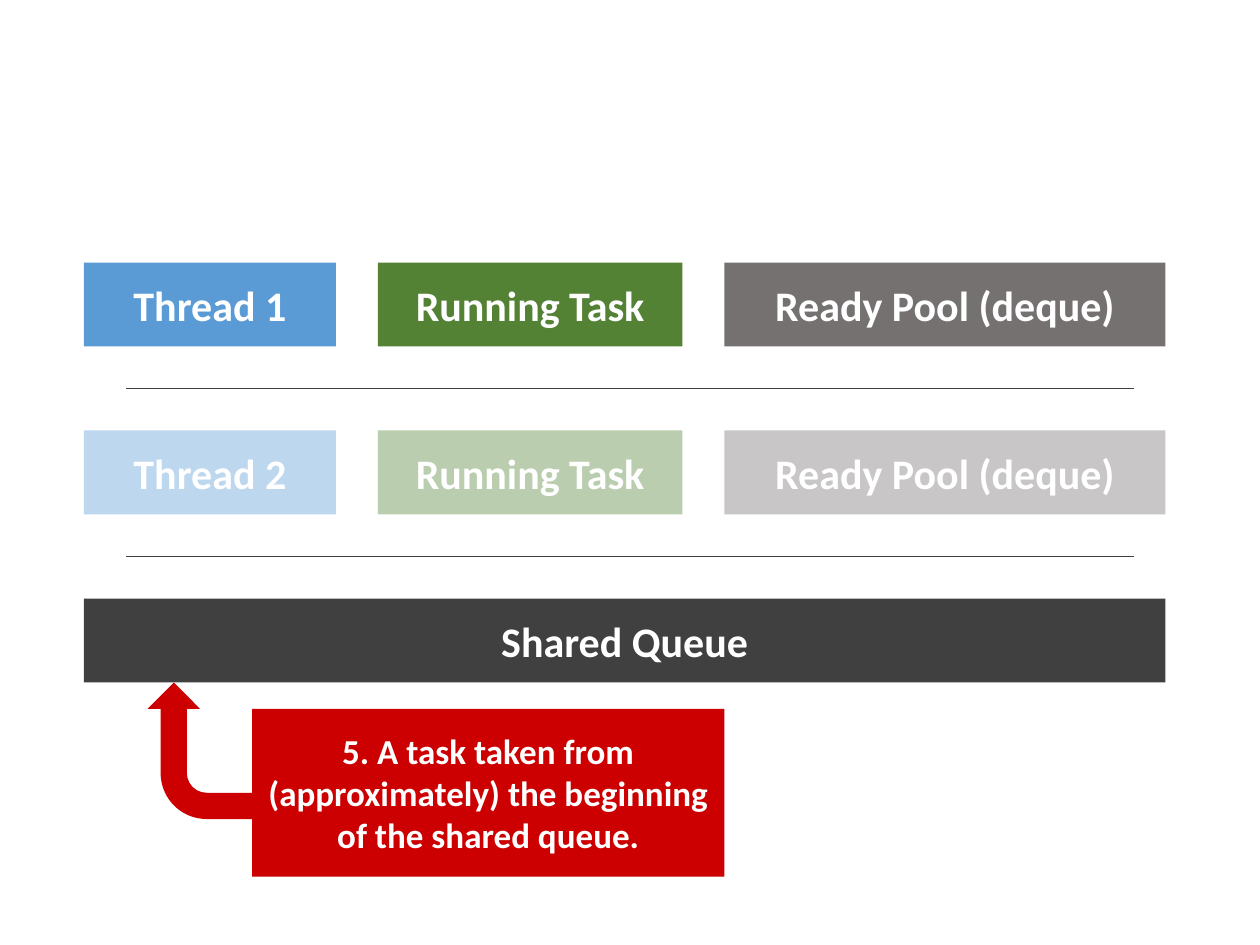
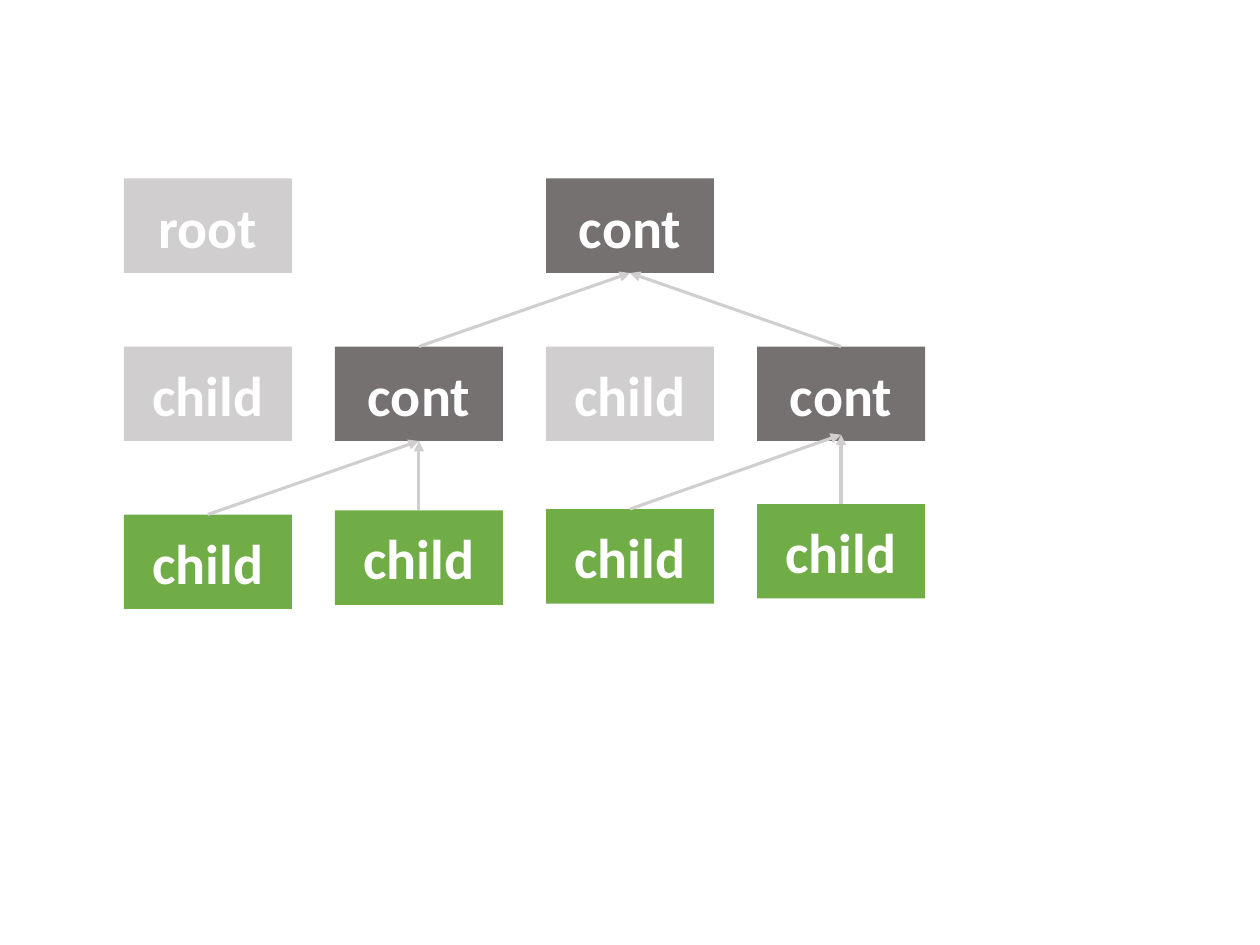
from pptx import Presentation
from pptx.dml.color import RGBColor
from pptx.enum.shapes import MSO_CONNECTOR, MSO_SHAPE
from pptx.enum.text import MSO_ANCHOR, PP_ALIGN
from pptx.oxml.ns import qn
from pptx.util import Pt
from lxml import etree

RECT = MSO_SHAPE.RECTANGLE
BENT_ARROW = MSO_SHAPE.BENT_ARROW
STRAIGHT = MSO_CONNECTOR.STRAIGHT
CENTER = PP_ALIGN.CENTER
MIDDLE = MSO_ANCHOR.MIDDLE
TOP, BOTTOM = 0, 2

FONT = "Calibri"
WHITE, DARK, GRAY, PALE = "FFFFFF", "404040", "767171", "D0CECE"
BLUE, FOREST, GREEN, RED = "5B9BD5", "548235", "70AD47", "CC0000"

THREADS = [("Thread 1", None), ("Thread 2", 40)]
STAGES = [("{thread}", 144, BLUE), ("Running Task", 174, FOREST),
          ("Ready Pool (deque)", 252, GRAY)]
SHARED_QUEUE = "Shared Queue"
STEP = "5. A task taken from (approximately) the beginning of the shared queue."
QUEUE_LEFT, QUEUE_TOP, ROW_HEIGHT, GAP = 48, 150, 48, 24
RULE_LEFT, RULE_RIGHT = 72, 648

TREE_LEFT, TREE_TOP, COLUMN_PITCH, ROW_PITCH = 70.8, 102, 120.6, 96
NODE_WIDTH, NODE_HEIGHT = 96, 54
NODES = {
    "root": ("root", 0, 0, PALE),
    "left child": ("child", 0, 1, PALE),
    "right child": ("child", 2, 1, PALE),
    "top cont": ("cont", 2, 0, GRAY),
    "left cont": ("cont", 1, 1, GRAY),
    "right cont": ("cont", 3, 1, GRAY),
}
LEAVES = [("leaf 1", 294), ("leaf 2", 291.6), ("leaf 3", 290.9), ("leaf 4", 288)]
NODES.update({leaf: ("child", column, (top - TREE_TOP) / ROW_PITCH, GREEN)
              for column, (leaf, top) in enumerate(LEAVES)})
LINKS = [("right cont", "top cont", 0), ("left cont", "top cont", 0),
         ("leaf 1", "left cont", 0), ("leaf 2", "left cont", 0),
         ("leaf 3", "right cont", 3.6), ("leaf 4", "right cont", 3.6)]


def color(value):
    return RGBColor.from_string(value)


def add_text(shape, text, size=24, ink=WHITE, bold=True):
    frame = shape.text_frame
    frame.word_wrap = True
    frame.vertical_anchor = MIDDLE
    paragraph = frame.paragraphs[0]
    paragraph.alignment = CENTER
    run = paragraph.add_run()
    run.text = text
    run.font.name = FONT
    run.font.size = Pt(size)
    run.font.bold = bold
    run.font.color.rgb = color(ink)


def add_block(slide, left, top, width, height, fill, kind=RECT, opacity=None):
    block = slide.shapes.add_shape(kind, Pt(left), Pt(top), Pt(width), Pt(height))
    block.shadow.inherit = False
    block.fill.solid()
    block.fill.fore_color.rgb = color(fill)
    block.line.fill.background()
    if opacity:
        tint = block.fill._xPr.find(".//" + qn("a:srgbClr"))
        etree.SubElement(tint, qn("a:alpha"), val=str(opacity * 1000))
    return block


def add_line(slide, start, end, ink, weight, arrow=False):
    line = slide.shapes.add_connector(STRAIGHT, *map(Pt, start + end))
    line.line.color.rgb = color(ink)
    line.line.width = Pt(weight)
    if arrow:
        etree.SubElement(line.line._get_or_add_ln(), qn("a:tailEnd"), type="triangle")
    etree.SubElement(line._element.spPr, qn("a:effectLst"))
    return line


def build_queues(slide):
    row_top = QUEUE_TOP
    for thread, opacity in THREADS:
        left = QUEUE_LEFT
        for label, width, fill in STAGES:
            stage = add_block(slide, left, row_top, width, ROW_HEIGHT, fill, opacity=opacity)
            add_text(stage, label.format(thread=thread))
            left += width + GAP
        rule_top = row_top + ROW_HEIGHT + GAP
        add_line(slide, (RULE_LEFT, rule_top), (RULE_RIGHT, rule_top), DARK, 0.5)
        row_top = rule_top + GAP
    total_width = left - GAP - QUEUE_LEFT
    queue = add_block(slide, QUEUE_LEFT, row_top, total_width, ROW_HEIGHT, DARK)
    add_text(queue, SHARED_QUEUE)
    step = add_block(slide, 144, 405, 270, 96, RED)
    add_text(step, STEP, size=20)
    taken = add_block(slide, 75.3, 399, 78, 60, RED, kind=BENT_ARROW)
    taken.rotation = 270


def build_tree(slide):
    corners, blocks = {}, {}
    for node, (label, column, row, fill) in NODES.items():
        left, top = TREE_LEFT + column * COLUMN_PITCH, TREE_TOP + row * ROW_PITCH
        corners[node] = left, top
        blocks[node] = add_block(slide, left, top, NODE_WIDTH, NODE_HEIGHT, fill)
        add_text(blocks[node], label, size=32)
    for source, target, inset in LINKS:
        (source_left, source_top), (target_left, target_top) = corners[source], corners[target]
        start = source_left + NODE_WIDTH / 2, source_top
        end = target_left + NODE_WIDTH / 2, target_top + NODE_HEIGHT - inset
        link = add_line(slide, start, end, PALE, 1.75, arrow=True)
        link.begin_connect(blocks[source], TOP)
        if not inset:
            link.end_connect(blocks[target], BOTTOM)


def main():
    deck = Presentation()
    deck.slide_width, deck.slide_height = Pt(720), Pt(540)
    for build in (build_queues, build_tree):
        build(deck.slides.add_slide(deck.slide_layouts[6]))
    deck.save("out.pptx")


if __name__ == "__main__":
    main()
